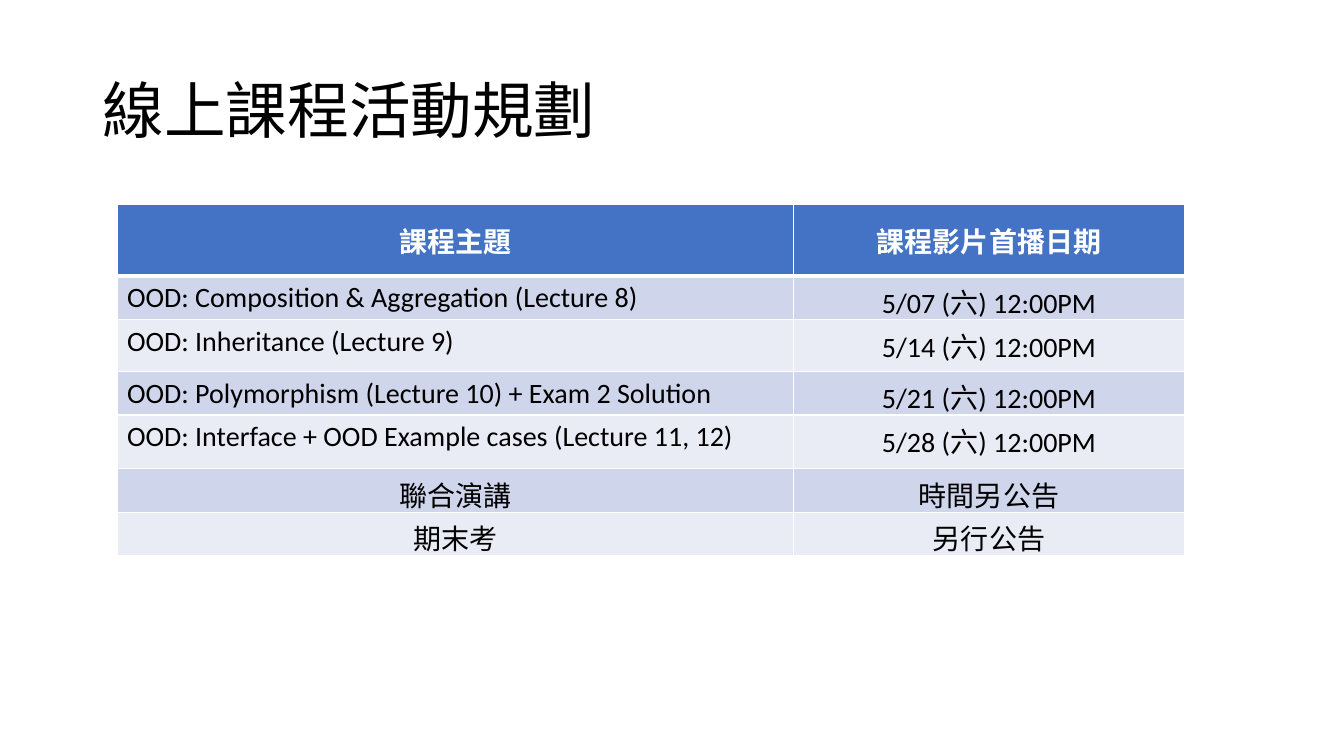
from dataclasses import dataclass
from typing import NamedTuple

from lxml.etree import SubElement
from pptx import Presentation
from pptx.dml.color import RGBColor
from pptx.enum.text import MSO_ANCHOR, PP_ALIGN
from pptx.oxml.ns import qn
from pptx.util import Inches, Pt


@dataclass(frozen=True)
class Theme:
    font: str = "Calibri"
    title: int = 44
    body: int = 20
    ink: str = "000000"
    white: str = "FFFFFF"
    head: str = "4472C4"
    bands: tuple = ("CFD5EA", "E9EBF5")
    thin: int = 1
    thick: int = 3


class Box(NamedTuple):
    left: float
    top: float
    width: float
    height: float


class Entry(NamedTuple):
    topic: str
    date: str
    height: float
    align: PP_ALIGN = PP_ALIGN.LEFT


THEME = Theme()
WIDE, HIGH = 13.33, 7.5
MID = PP_ALIGN.CENTER
TITLE = Box(0.92, 0.4, 11.5, 1.45)
GRID = Box(1.16, 2.03, 10.59, 3.49)
COLS = (6.71, 3.88)
PLAN = (
    Entry("課程主題", "課程影片首播日期", 0.71, MID),
    Entry("OOD: Composition & Aggregation (Lecture 8)", "5/07 (六) 12:00PM", 0.41),
    Entry("OOD: Inheritance (Lecture 9)", "5/14 (六) 12:00PM", 0.51),
    Entry("OOD: Polymorphism (Lecture 10) + Exam 2 Solution", "5/21 (六) 12:00PM", 0.41),
    Entry("OOD: Interface + OOD Example cases (Lecture 11, 12)", "5/28 (六) 12:00PM", 0.53),
    Entry("聯合演講", "時間另公告", 0.41, MID),
    Entry("期末考", "另行公告", 0.43, MID),
)


def place(box: Box) -> list:
    return [Inches(size) for size in box]


def style(para, size: int, color: str, bold: bool = False) -> None:
    font = para.font
    font.name, font.size, font.bold = THEME.font, Pt(size), bold
    font.color.rgb = RGBColor.from_string(color)


def edge(cell, base: int) -> None:
    props = cell._tc.get_or_add_tcPr()
    for side in "LRTB":
        width = base if side == "B" else THEME.thin
        line = SubElement(props, qn(f"a:ln{side}"), w=str(Pt(width)))
        fill = SubElement(line, qn("a:solidFill"))
        SubElement(fill, qn("a:srgbClr"), val=THEME.white)


def fill_cell(cell, text: str, align: PP_ALIGN, row: int) -> None:
    head = row == 0
    edge(cell, THEME.thick if head else THEME.thin)
    cell.fill.solid()
    tint = THEME.head if head else THEME.bands[(row - 1) % 2]
    cell.fill.fore_color.rgb = RGBColor.from_string(tint)
    cell.vertical_anchor = MSO_ANCHOR.MIDDLE if head else MSO_ANCHOR.TOP
    cell.text = text
    para = cell.text_frame.paragraphs[0]
    para.alignment = align
    style(para, THEME.body, THEME.white if head else THEME.ink, head)


def add_title(slide, text: str) -> None:
    frame = slide.shapes.add_textbox(*place(TITLE)).text_frame
    frame.word_wrap = True
    frame.vertical_anchor = MSO_ANCHOR.MIDDLE
    para = frame.paragraphs[0]
    para.text = text
    para.line_spacing = 0.9
    style(para, THEME.title, THEME.ink)


def add_plan(slide) -> None:
    table = slide.shapes.add_table(len(PLAN), len(COLS), *place(GRID)).table
    for col, width in zip(table.columns, COLS):
        col.width = Inches(width)
    for row, entry in enumerate(PLAN):
        table.rows[row].height = Inches(entry.height)
        fill_cell(table.cell(row, 0), entry.topic, entry.align, row)
        fill_cell(table.cell(row, 1), entry.date, MID, row)


deck = Presentation()
deck.slide_width, deck.slide_height = Inches(WIDE), Inches(HIGH)
slide = deck.slides.add_slide(deck.slide_layouts[6])
add_title(slide, "線上課程活動規劃")
add_plan(slide)
deck.save("out.pptx")
